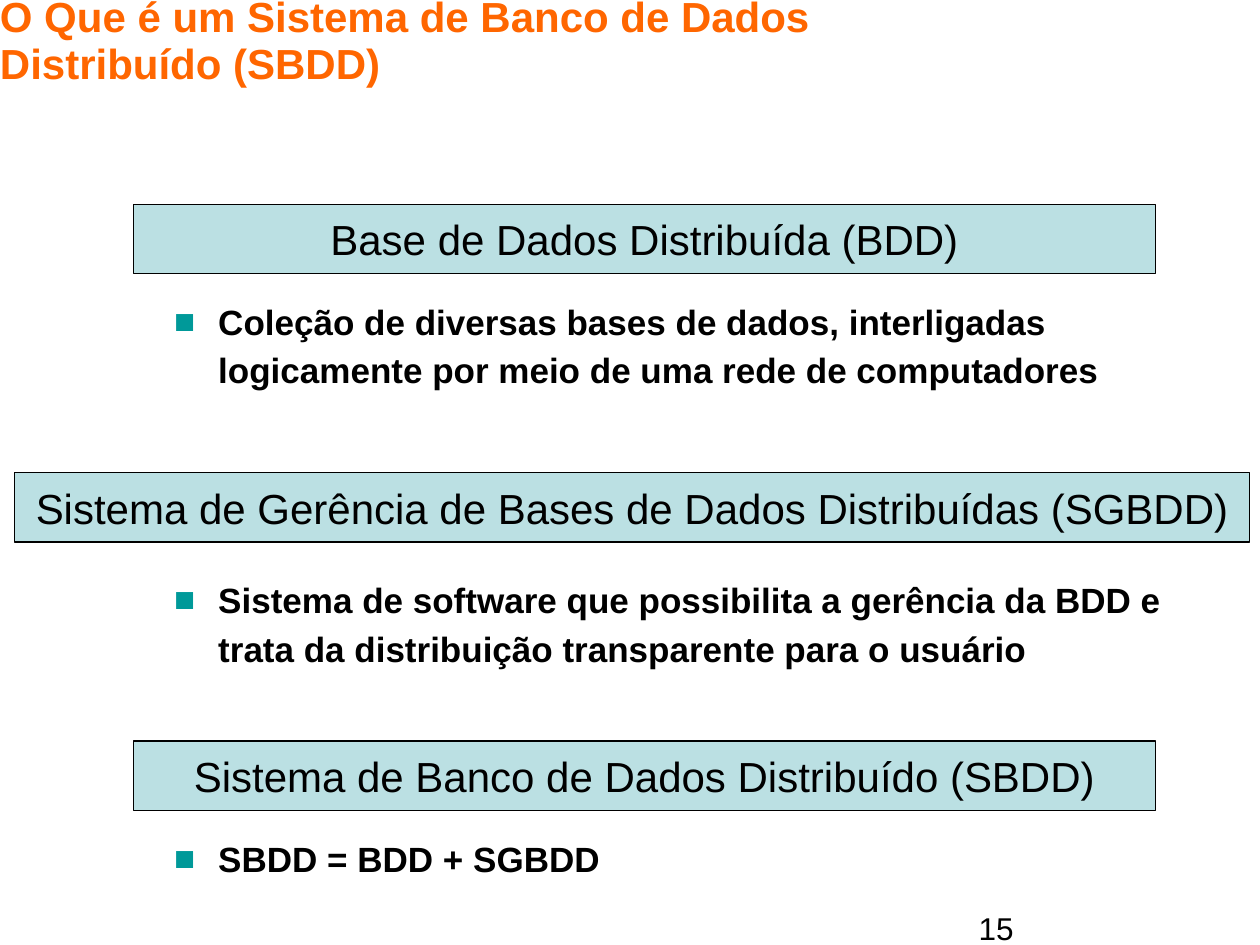
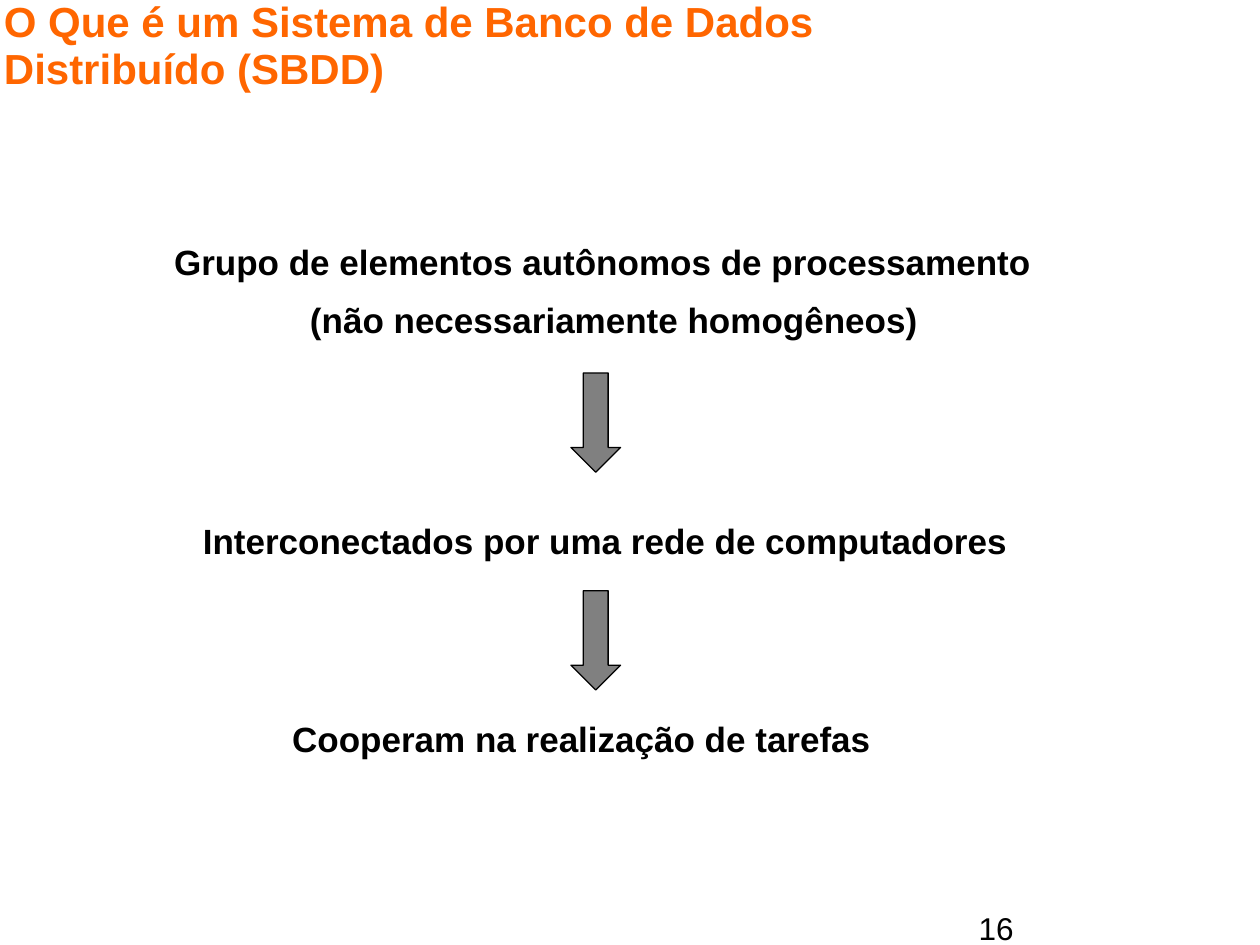
from lxml import etree
from pptx import Presentation
from pptx.dml.color import RGBColor
from pptx.enum.shapes import MSO_SHAPE
from pptx.enum.text import MSO_ANCHOR, PP_ALIGN
from pptx.oxml.ns import qn
from pptx.util import Cm, Pt

FONT = "Arial"
COLORS = {
    "title": "FF6600",
    "text": "000000",
    "line": "000000",
    "band": "BBE0E3",
    "bullet": "009999",
    "arrow": "808080",
}
TITLE = "O Que é um Sistema de Banco de Dados Distribuído (SBDD)"
HANG = Cm(0.89)

# heading, its left and width, its top; bullet text, its top and height
TERMS = [
    ("Base de Dados Distribuída (BDD)", 2.69, 20.6, 4.12,
     "Coleção de diversas bases de dados, interligadas logicamente "
     "por meio de uma rede de computadores", 5.92, 2.21),
    ("Sistema de Gerência de Bases de Dados Distribuídas (SGBDD)", 0.3, 24.89, 9.53,
     "Sistema de software que possibilita a gerência da BDD e "
     "trata da distribuição transparente para o usuário", 11.53, 2.21),
    ("Sistema de Banco de Dados Distribuído (SBDD)", 2.69, 20.6, 14.94,
     "SBDD = BDD + SGBDD", 16.74, 1.19),
]

# lines, then left, top, width and height
STEPS = [
    (["Grupo de elementos autônomos de processamento",
      "(não necessariamente homogêneos)"], 3.51, 4.72, 18.01, 2.21),
    (["Interconectados por uma rede de computadores"], 4.09, 10.34, 16.99, 1.19),
    (["Cooperam na realização de tarefas"], 5.89, 14.33, 12.4, 1.19),
]
ARROW_TOPS = [7.52, 11.91]


def color(name):
    return RGBColor.from_string(COLORS[name])


def style(par, size, name="text", bold=False):
    for run in par.runs:
        run.font.name = FONT
        run.font.size = Pt(size)
        run.font.bold = bold
        run.font.color.rgb = color(name)


def add_text(slide, lines, left, top, width, height, inset=0):
    """Add a wrapped text box with one paragraph per line; return its frame."""
    box = slide.shapes.add_textbox(Cm(left), Cm(top), Cm(width), Cm(height))
    frame = box.text_frame
    frame.word_wrap = True
    frame.margin_left = frame.margin_right = Cm(inset)
    frame.margin_top = frame.margin_bottom = Cm(inset / 2)
    frame.text = "\n".join(lines)
    return frame


def add_shape(slide, kind, fill, left, top, width, height):
    shape = slide.shapes.add_shape(kind, Cm(left), Cm(top), Cm(width), Cm(height))
    shape.shadow.inherit = False
    shape.fill.solid()
    shape.fill.fore_color.rgb = color(fill)
    shape.line.color.rgb = color("line")
    shape.line.width = Pt(0.75)
    return shape


def add_title(slide, left, top):
    frame = add_text(slide, [TITLE], left, top, 20.8, 1.68)
    frame.vertical_anchor = MSO_ANCHOR.MIDDLE
    par = frame.paragraphs[0]
    par.line_spacing = 0.93
    style(par, 24, "title", True)


def add_number(slide, number):
    frame = add_text(slide, [str(number)], 19.48, 18.21, 5.92, 1.32, 0.25)
    style(frame.paragraphs[0], 18)


def add_band(slide, text, left, top, width):
    band = add_shape(slide, MSO_SHAPE.RECTANGLE, "band", left, top, width, 1.4)
    frame = band.text_frame
    frame.word_wrap = False
    frame.vertical_anchor = MSO_ANCHOR.MIDDLE
    frame.text = text
    par = frame.paragraphs[0]
    par.alignment = PP_ALIGN.CENTER
    style(par, 24)


def add_body(slide, lines, *place):
    """Add bold text with the line pitch that both slides use."""
    frame = add_text(slide, lines, *place)
    for par in frame.paragraphs:
        par.line_spacing = Pt(27.8)
        par.space_before = Pt(5)
        style(par, 20, bold=True)
    return frame.paragraphs


def indent(par, left, first=0):
    props = par._p.get_or_add_pPr()
    props.set("marL", str(int(left)))
    props.set("indent", str(int(first)))
    return props


def add_bullet(slide, text, top, height):
    par = add_body(slide, [text], 3.51, top, 19.99, height)[0]
    props = indent(par, HANG, -HANG)
    tint = etree.SubElement(props, qn("a:buClr"))
    etree.SubElement(tint, qn("a:srgbClr"), val=COLORS["bullet"])
    etree.SubElement(props, qn("a:buFont"), typeface=FONT)
    etree.SubElement(props, qn("a:buChar"), char="■")


def add_slide(deck, number, left, top):
    slide = deck.slides.add_slide(deck.slide_layouts[6])
    add_number(slide, number)
    add_title(slide, left, top)
    return slide


def add_terms(deck):
    slide = add_slide(deck, 15, 0, 0)
    for head, left, width, top, text, low, height in TERMS:
        add_band(slide, head, left, top, width)
        add_bullet(slide, text, low, height)


def add_steps(deck):
    slide = add_slide(deck, 16, 0.08, 0.1)
    for lines, *place in STEPS:
        pars = add_body(slide, lines, *place)
        for par in pars[1:]:
            indent(par, Cm(2.74))
    for top in ARROW_TOPS:
        add_shape(slide, MSO_SHAPE.DOWN_ARROW, "arrow", 11.51, top, 1, 2)


def main():
    deck = Presentation()
    deck.slide_width = Cm(25.4)
    deck.slide_height = Cm(19.05)
    add_terms(deck)
    add_steps(deck)
    deck.save("out.pptx")


if __name__ == "__main__":
    main()
